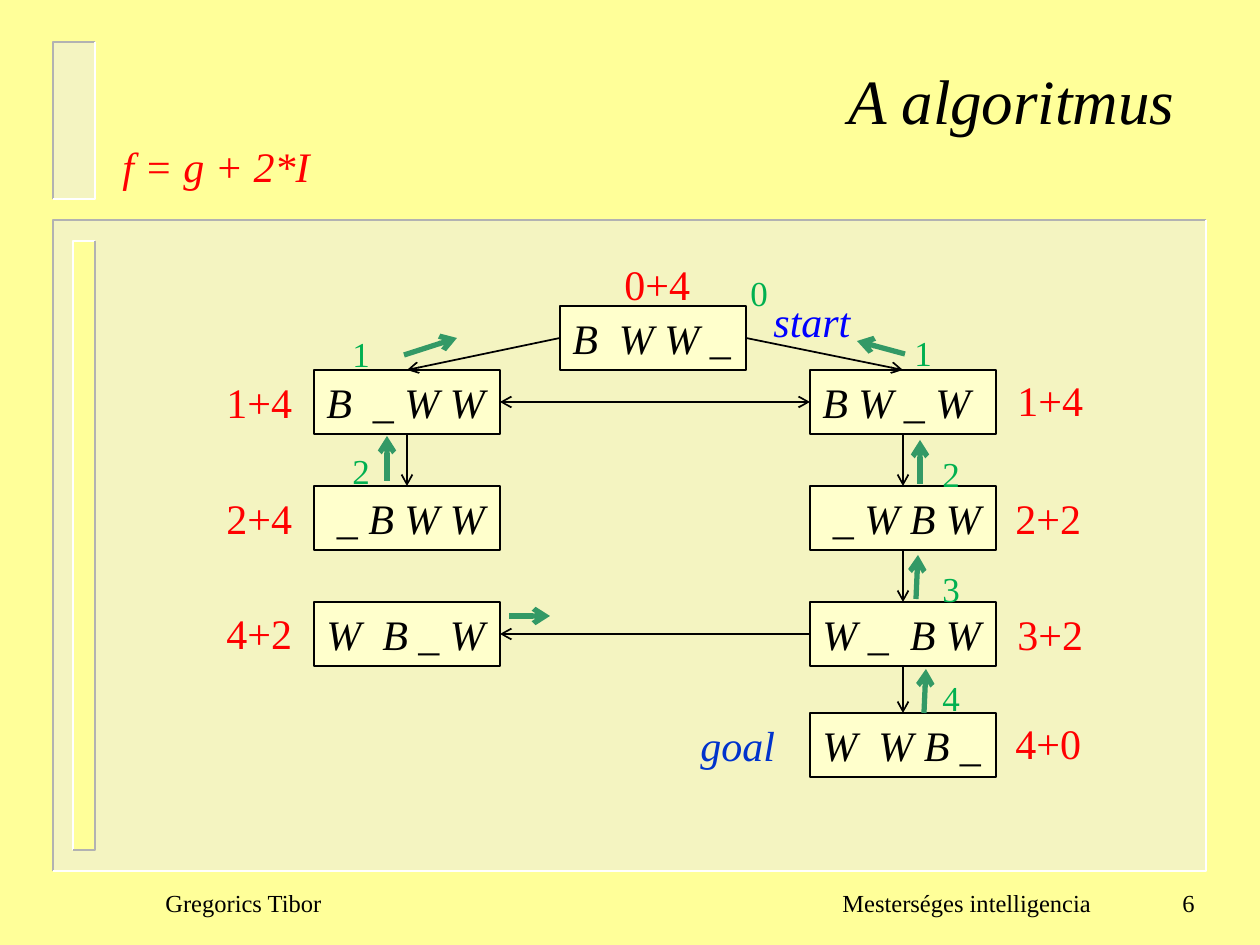
"""Builds the slide with the search graph of the A algorithm."""
from lxml import etree
from pptx import Presentation
from pptx.dml.color import RGBColor
from pptx.enum import shapes, text
from pptx.oxml import ns
from pptx.util import Pt

SCALE = 914400 / 126
BLACK, RED, GREEN, ARROW = "000000", "FF0000", "00B050", "339966"
GREY, WHITE, YELLOW = "B2B2B2", "FFFFFF", "FFFF99"
LEFT, RIGHT, BOX_W, BOX_H = 314, 810, 186, 64


def emu(*pixels):
    return [round(value * SCALE) for value in pixels]


def write(shape, content, size, color, italic=False, wrap=True):
    frame = shape.text_frame
    frame.text = content
    frame.word_wrap = wrap
    frame.vertical_anchor = text.MSO_ANCHOR.TOP
    para = frame.paragraphs[0]
    para.alignment = text.PP_ALIGN.LEFT
    font = para.runs[0].font
    font.name, font.size, font.italic = "Times New Roman", Pt(size), italic
    font.color.rgb = RGBColor.from_string(color)
    return frame


deck = Presentation()
deck.slide_width, deck.slide_height = emu(1260, 945)
page = deck.slides.add_slide(deck.slide_layouts[6])
page.background.fill.solid()
page.background.fill.fore_color.rgb = RGBColor.from_string(YELLOW)

panels = [
    (53, 220, 1153, 651, "EAEAEA", GREY, WHITE),
    (73, 241, 22, 609, YELLOW, WHITE, GREY),
    (53, 42, 42, 157, "EAEAEA", GREY, WHITE),
]
for x, y, width, height, fill, upper, lower in panels:
    panel = page.shapes.add_shape(shapes.MSO_SHAPE.RECTANGLE, *emu(x, y, width, height))
    panel.shadow.inherit = False
    panel.line.fill.background()
    panel.fill.solid()
    panel.fill.fore_color.rgb = RGBColor.from_string(fill)
    if fill != YELLOW:
        tint = panel._element.spPr.find(".//" + ns.qn("a:srgbClr"))
        etree.SubElement(tint, ns.qn("a:alpha"), val="50000")
    top_right, bottom_left = (x + width, y), (x, y + height)
    for corner, color in (((x, y), upper), ((x + width, y + height), lower)):
        builder = page.shapes.build_freeform(*emu(*top_right))
        builder.add_line_segments([emu(*corner), emu(*bottom_left)], close=False)
        edge = builder.convert_to_shape()
        edge.shadow.inherit = False
        edge.fill.background()
        edge.line.color.rgb = RGBColor.from_string(color)
        edge.line.width = Pt(1)

states = [
    ("B  W W _", 560, 306),
    ("B  _ W W", LEFT, 370),
    (" _ B W W", LEFT, 486),
    ("W  B _ W", LEFT, 602),
    ("B W _ W ", RIGHT, 370),
    (" _ W B W", RIGHT, 486),
    ("W _  B W", RIGHT, 602),
    ("W  W B _", RIGHT, 713),
]
for content, x, y in states:
    box = page.shapes.add_shape(shapes.MSO_SHAPE.RECTANGLE, *emu(x, y, BOX_W, BOX_H))
    box.shadow.inherit = False
    box.fill.solid()
    box.fill.fore_color.rgb = RGBColor.from_string("FFFFCC")
    box.line.color.rgb = RGBColor.from_string(BLACK)
    box.line.width = Pt(1)
    write(box, content, 24, BLACK, True, wrap=False)

steps = [
    (560, 338, 407, 370),
    (746, 338, 903, 370),
    (407, 434, 407, 486),
    (500, 402, 810, 402),
    (810, 634, 500, 634),
    (903, 434, 903, 486),
    (903, 550, 903, 602),
    (903, 666, 903, 713),
]
parents = [
    (404, 355, 457, 338),
    (905, 354, 857, 341),
    (387, 481, 387, 436),
    (509, 616, 550, 616),
    (916, 599, 918, 555),
    (920, 484, 920, 440),
    (924, 713, 926, 669),
]
for links, color, weight in ((steps, BLACK, 1), (parents, ARROW, 3)):
    for ends in links:
        link = page.shapes.add_connector(shapes.MSO_CONNECTOR.STRAIGHT, *emu(*ends))
        link.line.color.rgb = RGBColor.from_string(color)
        link.line.width = Pt(weight)
        outline = link.line._get_or_add_ln()
        if ends == (500, 402, 810, 402):
            etree.SubElement(outline, ns.qn("a:headEnd"), type="arrow")
        etree.SubElement(outline, ns.qn("a:tailEnd"), type="arrow")
        etree.SubElement(link._element.spPr, ns.qn("a:effectLst"))

costs = [
    ("0+4", 612, 252), ("1+4", 214, 370), ("2+4", 214, 486), ("4+2", 214, 601),
    ("1+4", 1005, 368), ("2+2", 1003, 486), ("3+2", 1005, 602), ("4+0", 1003, 711),
]
depths = [
    ("0", 738, 265), ("1", 340, 326), ("2", 340, 443), ("1", 902, 325),
    ("2", 930, 446), ("3", 930, 561), ("4", 930, 670),
]
labels = [(*cost, 100, 24, RED, False) for cost in costs]
labels += [(*depth, 53, 20, GREEN, False) for depth in depths]
labels += [
    ("start", 761, 289, 110, 24, "0000FF", True),
    ("goal", 688, 713, 110, 24, "0033CC", True),
    ("f = g + 2*I", 110, 134, 230, 24, RED, True),
]
for content, x, y, width, size, color, italic in labels:
    label = page.shapes.add_textbox(*emu(x, y, width, 63))
    write(label, content, size, color, italic)

title = page.shapes.add_textbox(*emu(116, 55, 1071, 85))
frame = write(title, "A algoritmus", 36, BLACK, True)
frame.paragraphs[0].alignment = text.PP_ALIGN.RIGHT

footers = [
    ("Gregorics Tibor", 153, 250, text.PP_ALIGN.LEFT),
    ("Mesterséges intelligencia", 830, 300, text.PP_ALIGN.LEFT),
    ("6", 1145, 62, text.PP_ALIGN.RIGHT),
]
for content, x, width, alignment in footers:
    footer = page.shapes.add_textbox(*emu(x, 871, width, 63))
    frame = write(footer, content, 14, BLACK)
    frame.vertical_anchor = text.MSO_ANCHOR.MIDDLE
    frame.paragraphs[0].alignment = alignment

deck.save("out.pptx")
